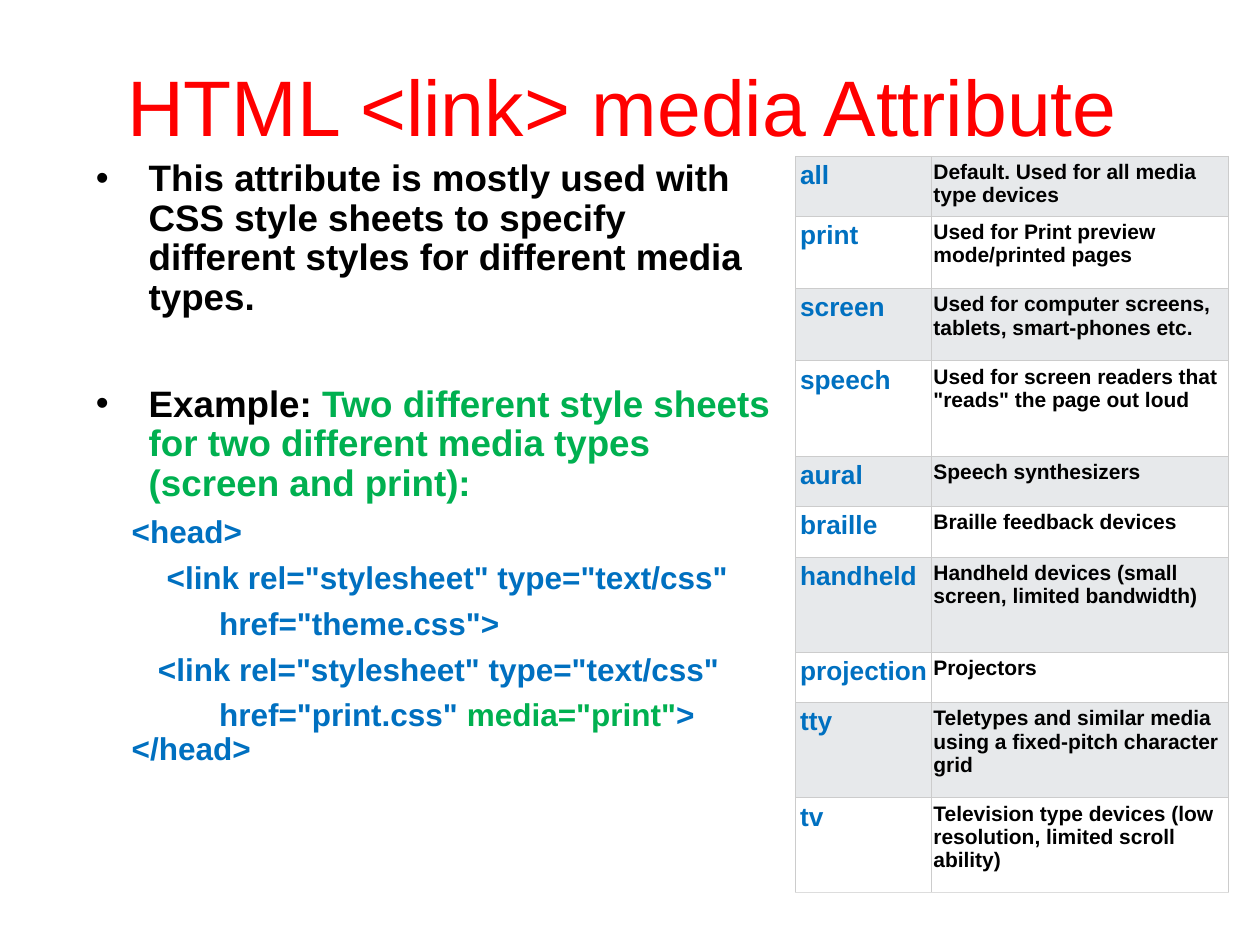
from lxml import etree
from pptx import Presentation
from pptx import util as u
from pptx.dml.color import RGBColor
from pptx.enum import text
from pptx.oxml.ns import qn

RED = RGBColor(0xFF, 0x00, 0x00)
BLACK = RGBColor(0x00, 0x00, 0x00)
GREEN = RGBColor(0x00, 0xB0, 0x50)
BLUE = RGBColor(0x00, 0x70, 0xC0)
WHITE = RGBColor(0xFF, 0xFF, 0xFF)
GREY = RGBColor(0xE7, 0xE9, 0xEB)
RULE = RGBColor(0xCC, 0xCC, 0xCC)
LAST_RULE = RGBColor(0xDD, 0xDD, 0xDD)

prs = Presentation()
prs.slide_width, prs.slide_height = u.Inches(13.34), u.Inches(10)
COL, ROW = prs.slide_width / 160, prs.slide_height / 120


def grid(left, top, width, height):
    return int(left * COL), int(top * ROW), int(width * COL), int(height * ROW)


def add_run(p, words, size, color, bold=True):
    r = p.add_run()
    r.text = words
    r.font.name, r.font.size, r.font.bold = "Arial", u.Pt(size), bold
    r.font.color.rgb = color


s = prs.slides.add_slide(prs.slide_layouts[5])

title = s.shapes.title
title.left, title.top, title.width, title.height = grid(9, 7, 140, 12.6)
tf = title.text_frame
tf.auto_size = text.MSO_AUTO_SIZE.NONE
tf.vertical_anchor = text.MSO_ANCHOR.MIDDLE
tf.margin_left = tf.margin_right = u.Inches(0.05)
tf.margin_top = tf.margin_bottom = u.Inches(0.02)
p = tf.paragraphs[0]
p.alignment = text.PP_ALIGN.CENTER
add_run(p, "HTML <link> media Attribute", 60, RED, False)

tf = s.shapes.add_textbox(*grid(11, 19.7, 88, 84)).text_frame
tf.word_wrap = True

points = [
    (0, [("This attribute is mostly used with CSS style sheets to specify "
          "different styles for different media types.", BLACK)]),
    (51, [("Example: ", BLACK),
          ("Two different style sheets for two different media types "
           "(screen and print):", GREEN)]),
]
for i, (before, runs) in enumerate(points):
    p = tf.add_paragraph() if i else tf.paragraphs[0]
    p.line_spacing, p.space_before = 0.9, u.Pt(before)
    pPr = p._p.get_or_add_pPr()
    pPr.set("marL", str(u.Inches(0.56)))
    pPr.set("indent", str(-u.Inches(0.56)))
    color = etree.SubElement(pPr, qn("a:buClr"))
    etree.SubElement(color, qn("a:srgbClr"), val=str(BLACK))
    etree.SubElement(pPr, qn("a:buFont"), typeface="Arial")
    etree.SubElement(pPr, qn("a:buChar"), char="•")
    for words, color in runs:
        add_run(p, words, 28, color)

code = [
    [("<head>", BLUE)],
    [('    <link rel="stylesheet" type="text/css"', BLUE)],
    [('          href="theme.css">', BLUE)],
    [('   <link rel="stylesheet" type="text/css"', BLUE)],
    [('          href="print.css" ', BLUE), ('media="print"', GREEN), (">", BLUE)],
]
for runs in code:
    p = tf.add_paragraph()
    p.level, p.line_spacing, p.space_before = 1, 0.9, u.Pt(9)
    pPr = p._p.get_or_add_pPr()
    pPr.set("marL", str(u.Inches(0.38)))
    pPr.set("indent", "0")
    etree.SubElement(pPr, qn("a:buNone"))
    for words, color in runs:
        add_run(p, words, 24, color)
p.add_line_break()
add_run(p, "</head>", 24, BLUE)

media = [
    ("all", "Default. Used for all media type devices", 7),
    ("print", "Used for Print preview mode/printed pages", 9.2),
    ("screen", "Used for computer screens, tablets, smart-phones etc.", 9.2),
    ("speech", 'Used for screen readers that "reads" the page out loud', 12.1),
    ("aural", "Speech synthesizers", 6.4),
    ("braille", "Braille feedback devices", 6.4),
    ("handheld", "Handheld devices (small screen, limited bandwidth)", 12.1),
    ("projection", "Projectors", 6.4),
    ("tty", "Teletypes and similar media using a fixed-pitch character grid", 12.1),
    ("tv", "Television type devices (low resolution, limited scroll ability)", 12),
]
heights = [height for _, _, height in media]
table = s.shapes.add_table(len(media), 2, *grid(101, 19.8, 55, sum(heights))).table
table.first_row = table.horz_banding = False
table.columns[0].width, table.columns[1].width = int(17.3 * COL), int(37.7 * COL)

for i, (name, use, height) in enumerate(media):
    table.rows[i].height = int(height * ROW)
    for j, (words, size, color, inset) in enumerate(
            [(name, 20, BLUE, 0.05), (use, 16, BLACK, 0.02)]):
        cell = table.cell(i, j)
        cell.margin_left, cell.margin_right = u.Inches(inset), u.Inches(0.02)
        cell.margin_top = cell.margin_bottom = u.Inches(0.05)
        tcPr = cell._tc.get_or_add_tcPr()
        for side in "LRTB":
            last = side == "B" and i == len(media) - 1
            ln = etree.SubElement(tcPr, qn("a:ln" + side), w=str(u.Pt(0.28)))
            fill = etree.SubElement(ln, qn("a:solidFill"))
            etree.SubElement(fill, qn("a:srgbClr"), val=str(LAST_RULE if last else RULE))
        cell.fill.solid()
        cell.fill.fore_color.rgb = WHITE if i % 2 else GREY
        add_run(cell.text_frame.paragraphs[0], words, size, color)

prs.save("out.pptx")
